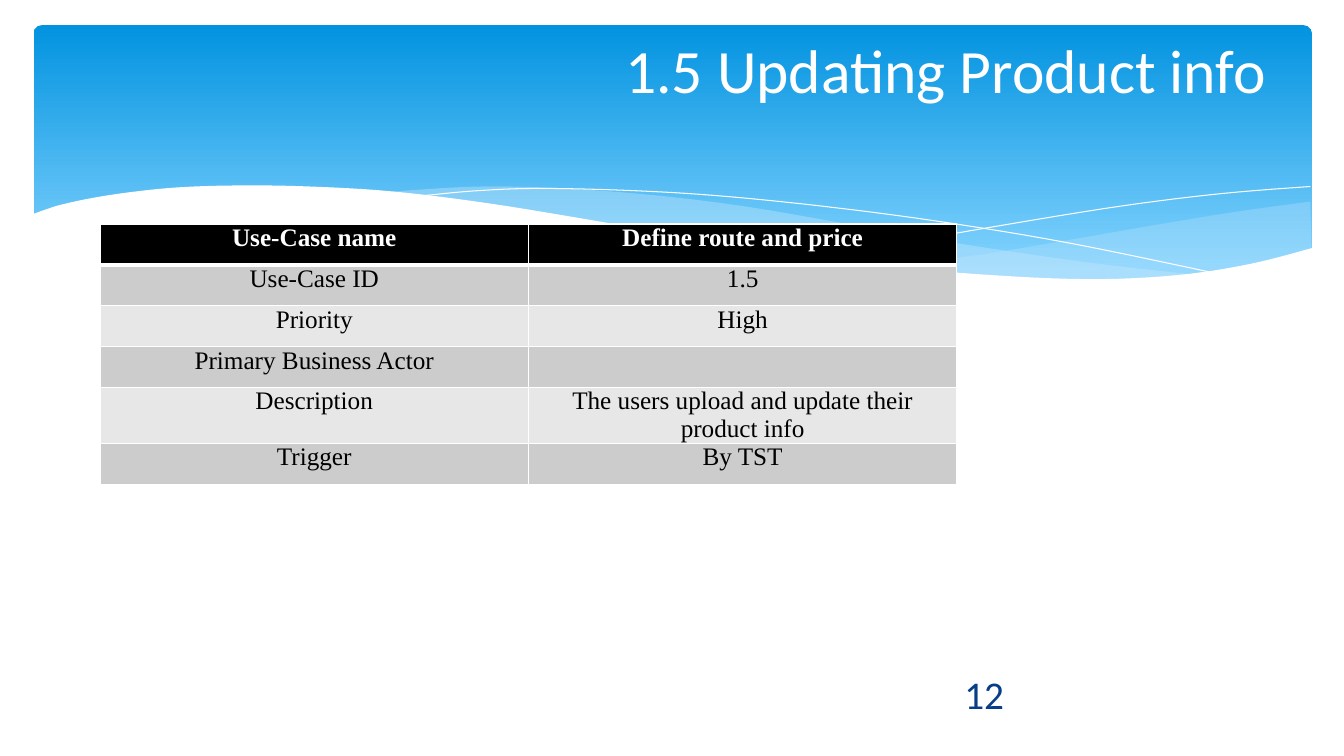
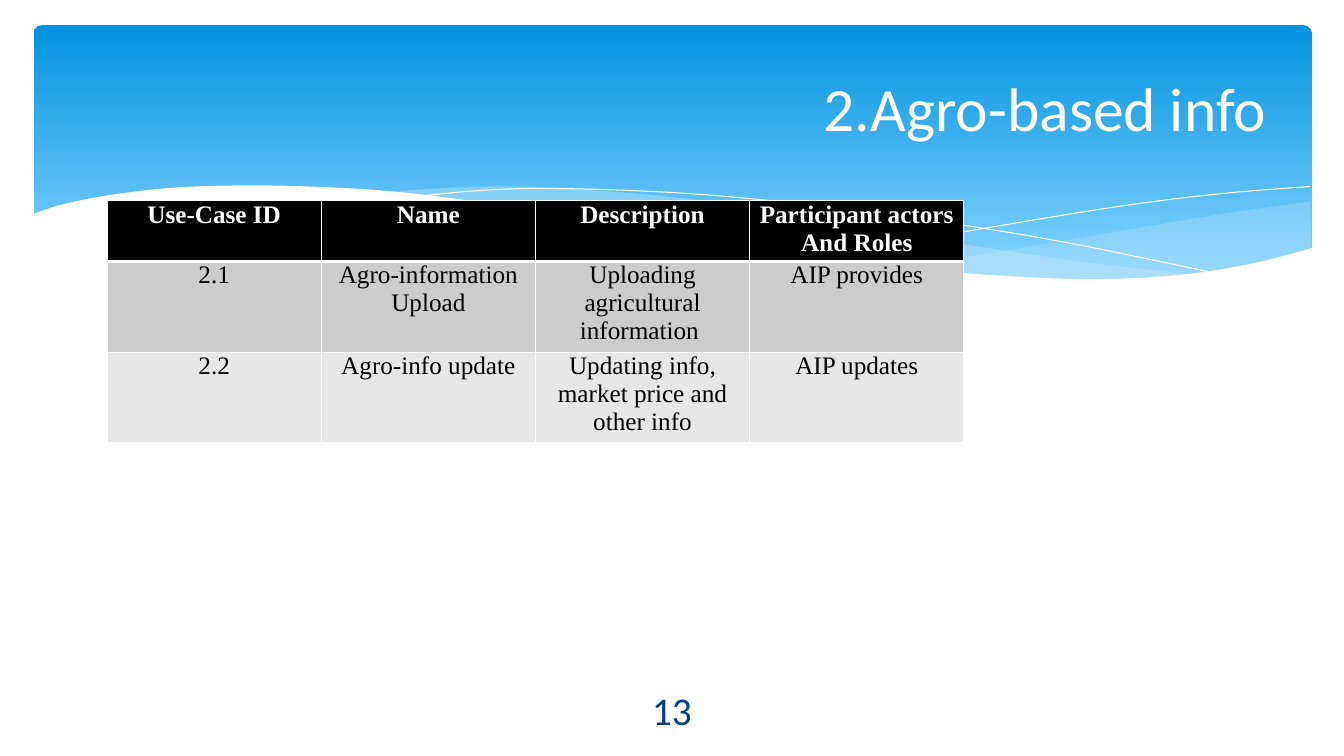
"""Build two use-case slides with a shared wave banner."""
from lxml.etree import SubElement
from pptx import Presentation
from pptx.dml.color import RGBColor
from pptx.enum.shapes import MSO_SHAPE
from pptx.enum.text import MSO_ANCHOR, PP_ALIGN
from pptx.oxml import parse_xml
from pptx.oxml.ns import nsdecls, qn
from pptx.util import Pt

HUES = {
    "white": "FFFFFF", "black": "000000", "navy": "073E87", "sky": "0293E0",
    "pale": "83D3FE", "mist": "C6E7FC", "dark": "CCCCCC", "light": "E7E7E7",
}

SLIDES = [
    {
        "title": "1.5 Updating Product info", "top": 0,
        "page": "12", "foot": (676, 481, 54, 29),
        "spot": (71.5, 160),
        "rows": [
            ("Use-Case name", "Define route and price"),
            ("Use-Case ID", "1.5"),
            ("Priority", "High"),
            ("Primary Business Actor", ""),
            ("Description", "The users upload and update their product info"),
            ("Trigger", "By TST"),
        ],
    },
    {
        "title": "2.Agro-based info", "top": 27,
        "page": "13", "foot": (419, 492.5, 122, 29),
        "spot": (76.5, 143.5),
        "rows": [
            ("Use-Case ID", "Name", "Description", "Participant actors\nAnd Roles"),
            ("2.1", "Agro-information Upload",
             "Uploading agricultural information ", "AIP provides"),
            ("2.2", "Agro-info update",
             "Updating info, market price and other info", "AIP updates"),
        ],
    },
]

RIGHT = [
    [(936, 144), (883.4, 151.2), (826, 160.6), (747.4, 174.2), (700, 182),
     (635, 190.8)],
    [(635, 190.8), (690, 195.1), (749.5, 199.4), (801.4, 199.4),
     (853.9, 195.8), (898, 188.6), (936.7, 177.8)],
]
MIDDLE = [
    [(856.8, 196.6), (774.7, 187.2), (677.5, 172.8), (604, 159.8),
     (532.8, 147.6), (469.4, 139.7), (403.2, 134.6), (347, 133.2),
     (300.9, 135.4), (275, 137.5)],
    [(275, 137.5), (347.8, 146.2), (409.7, 155.5), (470.9, 167),
     (543.6, 178.6), (609.1, 187.9), (680.4, 195.8), (741.6, 199.4),
     (794.9, 200.2), (856.8, 196.6)],
]
LONG = [
    [(296.6, 140.4), (338.4, 136.4), (385.2, 134.6), (450, 136.1),
     (511.2, 139.7), (584, 146.9), (667.4, 157.7), (763.2, 173.5),
     (871.2, 195.8)],
]
SHORT = [
    [(589, 185), (645.1, 173.5), (717.8, 160.6), (802.8, 146.9),
     (873.4, 138.2), (936, 133.2)],
]
FRONT = [
    [(938, 177), (892.8, 188.6), (840.2, 196.6), (776.2, 199.4),
     (697.7, 195.8), (621.4, 188.6), (532.8, 176.4), (429.1, 158.4),
     (349.9, 145.4), (280.8, 136.8), (220.3, 133.2), (169.2, 132.5),
     (126.7, 133.9), (91.4, 137.5), (64.1, 141.8), (43.9, 146.2),
     (34.6, 149), (22.3, 153.4)],
    [(22.3, 237), (938, 237)],
]
WAVES = [
    (RIGHT, "mist", 29, None),
    (MIDDLE, "mist", 40, None),
    (LONG, None, 100, "white"),
    (SHORT, None, 100, "white"),
    (FRONT, "white", 100, None),
]

TITLE = {"size": Pt(44), "name": "Calibri"}
FOOT = {"size": Pt(28), "name": "Calibri"}
HEAD = {"size": Pt(18), "name": "Times New Roman", "bold": True}
BODY = {**HEAD, "bold": False}
CELL = {
    "margin_left": Pt(5), "margin_right": Pt(5),
    "margin_top": 0, "margin_bottom": 0,
}
WIDTH, ROW = 612, 29.2


def tint(name):
    return RGBColor.from_string(HUES[name])


def apply(item, values):
    for key, value in values.items():
        setattr(item, key, value)


def style(frame, look, hue, align):
    for para in frame.paragraphs:
        para.alignment = align
        for run in para.runs:
            apply(run.font, look)
            run.font.color.rgb = tint(hue)


def curve(knots, steps=6):
    ends = [knots[0], *knots, knots[-1]]
    points = [knots[0]]
    for a, b, c, d in zip(ends, ends[1:], ends[2:], ends[3:]):
        for step in range(1, steps + 1):
            t = step / steps
            points.append(tuple(
                (2 * q + (r - p) * t + (2 * p - 5 * q + 4 * r - s) * t ** 2
                 + (3 * q - p - 3 * r + s) * t ** 3) / 2
                for p, q, r, s in zip(a, b, c, d)))
    return points


def add_wave(slide, edges, fill, alpha, line):
    points = [(Pt(x), Pt(y)) for edge in edges for x, y in curve(edge)]
    pen = slide.shapes.build_freeform(*points[0])
    pen.add_line_segments(points[1:], close=fill is not None)
    wave = pen.convert_to_shape()
    wave.shadow.inherit = False
    if fill:
        wave.fill.solid()
        wave.fill.fore_color.rgb = tint(fill)
        if alpha < 100:
            color = wave.fill._xPr.find(qn("a:solidFill"))[0]
            SubElement(color, qn("a:alpha"), val=str(alpha * 1000))
    else:
        wave.fill.background()
    if line:
        wave.line.color.rgb = tint(line)
        wave.line.width = Pt(0)
    else:
        wave.line.fill.background()


def add_banner(slide):
    band = slide.shapes.add_shape(
        MSO_SHAPE.ROUNDED_RECTANGLE, Pt(24), Pt(18), Pt(913), Pt(194.4))
    band.adjustments[0] = 0.03
    band.shadow.inherit = False
    band.line.fill.background()
    band.fill.gradient()
    band.fill.gradient_angle = 270
    for stop, place, hue in zip(band.fill.gradient_stops, (0, 0.9), ("sky", "pale")):
        stop.position = place
        stop.color.rgb = tint(hue)
    for wave in WAVES:
        add_wave(slide, *wave)


def add_text(slide, text, box, look, hue, align):
    frame = slide.shapes.add_textbox(*map(Pt, box)).text_frame
    apply(frame, {"word_wrap": True, "vertical_anchor": MSO_ANCHOR.MIDDLE})
    frame.text = text
    style(frame, look, hue, align)


def add_rules(cell, top, bottom):
    props = cell._tc.get_or_add_tcPr()
    sides = (("L", 1), ("R", 1), ("T", top), ("B", bottom))
    for spot, (side, width) in enumerate(sides):
        props.insert(spot, parse_xml(
            f'<a:ln{side} {nsdecls("a")} w="{Pt(width)}"><a:solidFill>'
            f'<a:srgbClr val="{HUES["white"]}"/></a:solidFill></a:ln{side}>'))


def add_grid(slide, rows, spot):
    count = len(rows[0])
    table = slide.shapes.add_table(
        len(rows), count, *map(Pt, (*spot, WIDTH, ROW * len(rows)))).table
    for col in table.columns:
        col.width = Pt(WIDTH / count)
    for r, texts in enumerate(rows):
        table.rows[r].height = Pt(ROW)
        fill = "black" if r == 0 else ("light", "dark")[r % 2]
        for c, text in enumerate(texts):
            cell = table.cell(r, c)
            apply(cell, CELL)
            cell.text = text
            cell.fill.solid()
            cell.fill.fore_color.rgb = tint(fill)
            add_rules(cell, 3 if r == 1 else 1, 3 if r == 0 else 1)
            style(cell.text_frame, BODY if r else HEAD,
                  "black" if r else "white", PP_ALIGN.CENTER)


def main():
    deck = Presentation()
    apply(deck, {"slide_width": Pt(960), "slide_height": Pt(540)})
    for page in SLIDES:
        slide = deck.slides.add_slide(deck.slide_layouts[6])
        add_banner(slide)
        add_grid(slide, page["rows"], page["spot"])
        add_text(slide, page["page"], page["foot"], FOOT, "navy", PP_ALIGN.CENTER)
        add_text(slide, page["title"], (48, page["top"], 864, 98.4),
                 TITLE, "white", PP_ALIGN.RIGHT)
    deck.save("out.pptx")


if __name__ == "__main__":
    main()
